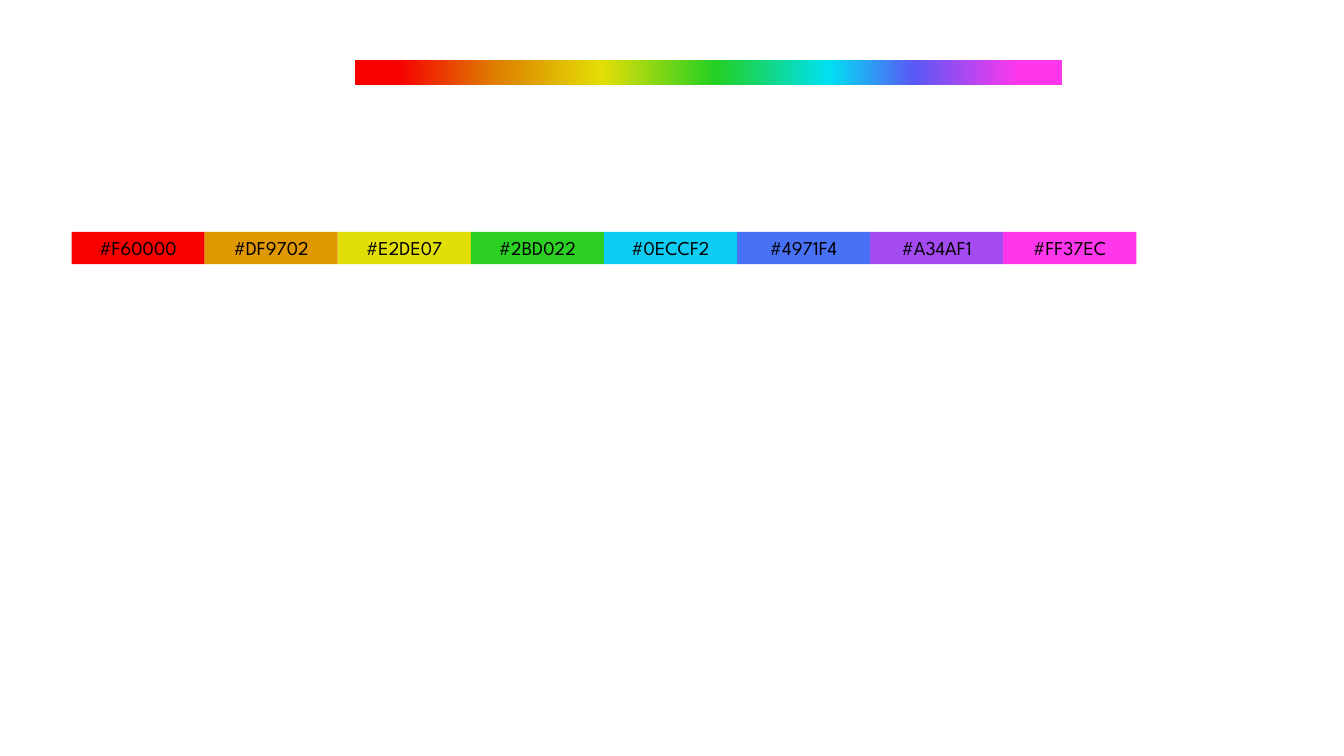
import dataclasses

import pptx
import pptx.dml.color
import pptx.enum.shapes
import pptx.enum.text
import pptx.oxml
import pptx.oxml.ns
import pptx.util


@dataclasses.dataclass(frozen=True)
class Theme:
    font: str = "League Spartan"
    size: int = 14
    ink: str = "000000"
    back: str = "FFFFFF"
    hues: tuple = ("F60000", "DF9702", "E2DE07", "2BD022",
                   "0ECCF2", "4971F4", "A34AF1", "FF37EC")
    # (percent along the bar, colour)
    stops: tuple = ((6, "F60000"), (20, "DE7F00"), (35, "E3DE07"),
                    (51, "23CF23"), (67, "00E1F2"), (79, "5959F5"),
                    (94, "FF37EC"))


def rgb(code):
    return pptx.dml.color.RGBColor.from_string(code)


class Board:
    """Draws on one slide; columns and rows count from the grid's corner."""
    left, top = 0.71, 2.3
    col, row = 1.32, 0.32

    def __init__(self, slide, theme):
        self.slide = slide
        self.theme = theme
        slide.background.fill.solid()
        slide.background.fill.fore_color.rgb = rgb(theme.back)

    def rect(self, col, row, wide=1, high=1):
        box = self.slide.shapes.add_shape(
            pptx.enum.shapes.MSO_SHAPE.RECTANGLE,
            pptx.util.Inches(self.left + col * self.col),
            pptx.util.Inches(self.top + row * self.row),
            pptx.util.Inches(wide * self.col),
            pptx.util.Inches(high * self.row))
        box.shadow.inherit = False
        box.line.fill.background()
        return box

    def swatch(self, col, row, hue):
        box = self.rect(col, row)
        box.fill.solid()
        box.fill.fore_color.rgb = rgb(hue)
        frame = box.text_frame
        frame.margin_left = frame.margin_right = 0
        frame.margin_top = frame.margin_bottom = 0
        frame.vertical_anchor = pptx.enum.text.MSO_ANCHOR.MIDDLE
        line = frame.paragraphs[0]
        line.alignment = pptx.enum.text.PP_ALIGN.CENTER
        run = line.add_run()
        run.text = f"#{hue}"
        run.font.name = self.theme.font
        run.font.size = pptx.util.Pt(self.theme.size)
        run.font.color.rgb = rgb(self.theme.ink)

    def blend(self, col, row, wide, high, stops):
        """Draw a bar that fades from left to right through the stops."""
        box = self.rect(col, row, wide, high)
        box.fill.gradient()
        box.fill.gradient_angle = 0
        ramp = next(box.element.iter(pptx.oxml.ns.qn("a:gsLst")))
        for stop in list(ramp):
            ramp.remove(stop)
        space = pptx.oxml.ns.nsdecls("a")
        for share, hue in stops:
            ramp.append(pptx.oxml.parse_xml(
                f'<a:gs {space} pos="{share * 1000}">'
                f'<a:srgbClr val="{hue}"/></a:gs>'))


def main():
    deck = pptx.Presentation()
    deck.slide_width = pptx.util.Inches(13.33)
    deck.slide_height = pptx.util.Inches(7.5)
    theme = Theme()
    blank = deck.slide_layouts[6]
    board = Board(deck.slides.add_slide(blank), theme)
    board.blend(2.13, -5.34, 5.31, 0.78, theme.stops)
    for col, hue in enumerate(theme.hues):
        board.swatch(col, 0, hue)
    deck.save("out.pptx")


if __name__ == "__main__":
    main()
